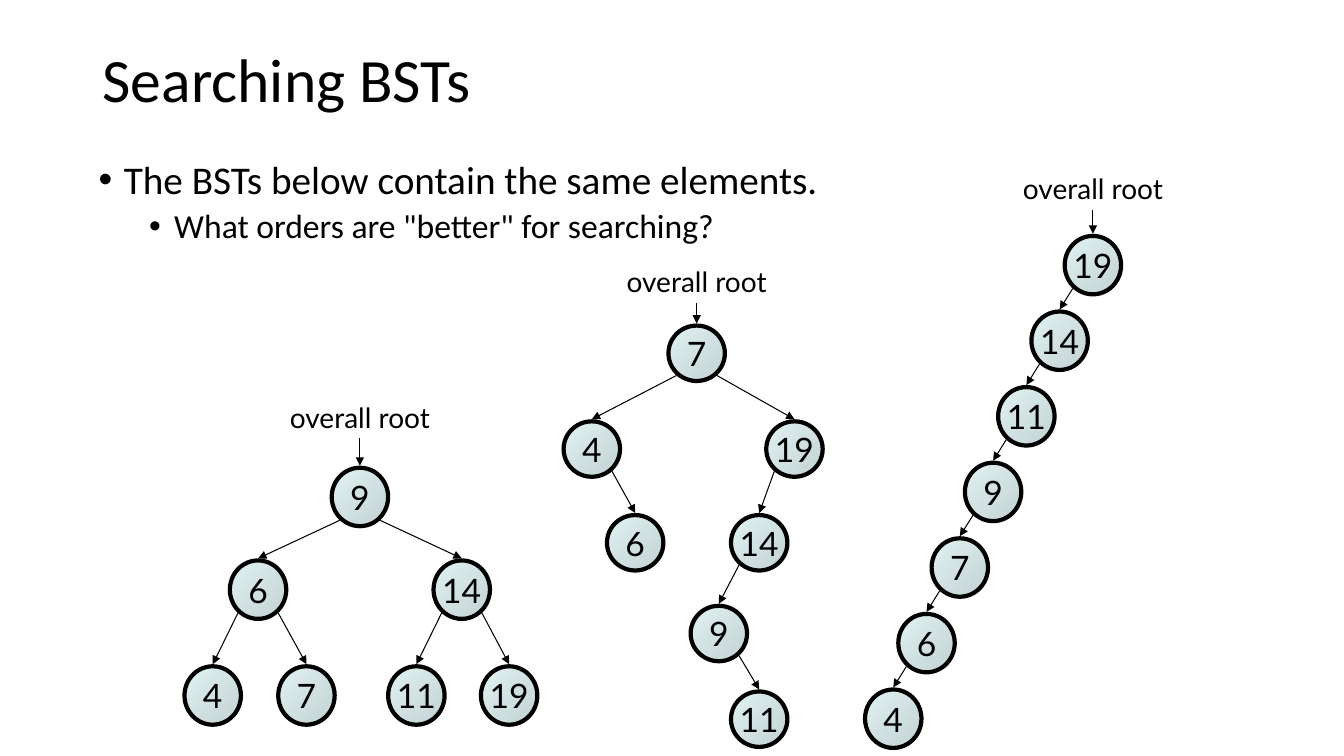
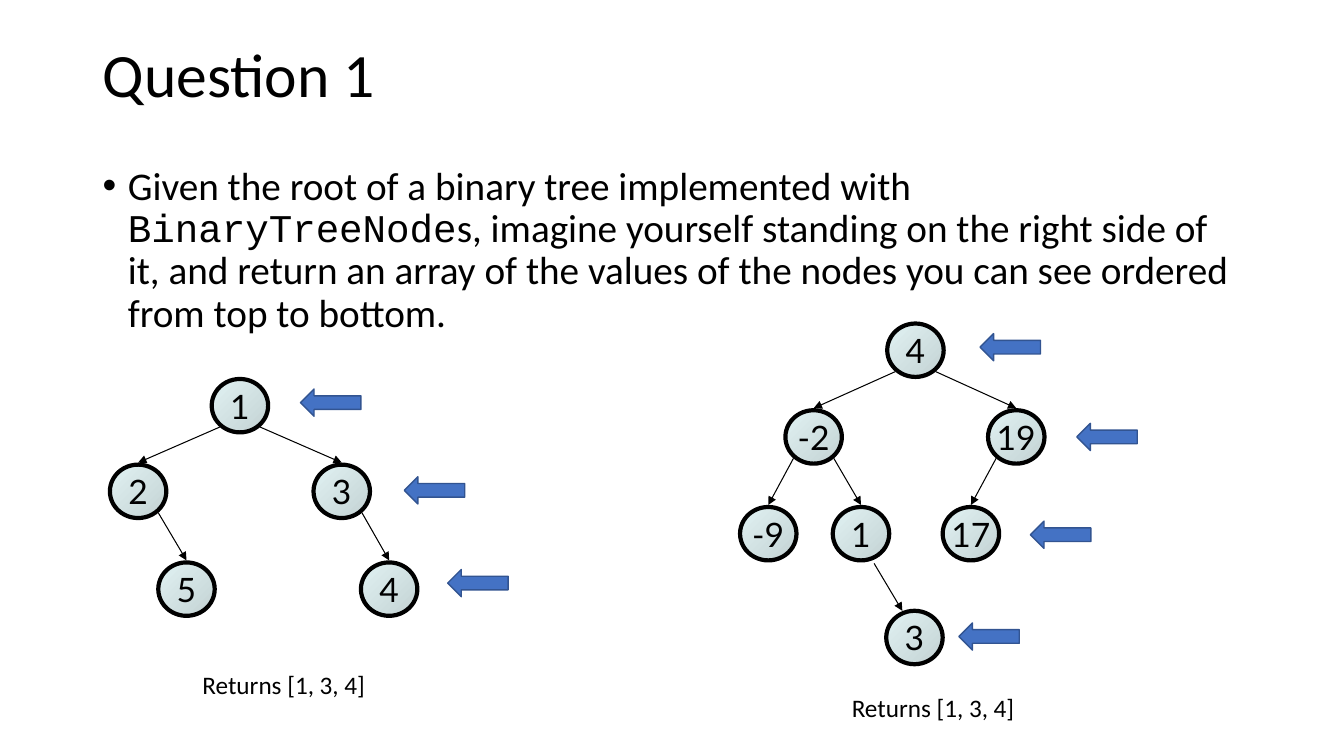
from dataclasses import dataclass
from typing import Iterator, NamedTuple, Optional

from lxml import etree
from pptx import Presentation
from pptx.dml.color import RGBColor
from pptx.enum.shapes import MSO_CONNECTOR, MSO_SHAPE
from pptx.enum.text import MSO_ANCHOR, PP_ALIGN
from pptx.oxml.ns import qn
from pptx.slide import Slide
from pptx.text.text import TextFrame
from pptx.util import Inches, Pt

ELLIPSE, LEFT_ARROW = MSO_SHAPE.OVAL, MSO_SHAPE.LEFT_ARROW
STRAIGHT = MSO_CONNECTOR.STRAIGHT
TOP, MIDDLE = MSO_ANCHOR.TOP, MSO_ANCHOR.MIDDLE
LEFT, CENTER = PP_ALIGN.LEFT, PP_ALIGN.CENTER


# Colours, fonts and type sizes
@dataclass(frozen=True)
class Theme:
    ink: RGBColor = RGBColor.from_string("000000")
    node_light: RGBColor = RGBColor.from_string("E1F2F3")
    node_dark: RGBColor = RGBColor.from_string("C3D2D3")
    marker: RGBColor = RGBColor.from_string("4472C4")
    marker_edge: RGBColor = RGBColor.from_string("325491")
    text_font: str = "Calibri"
    code_font: str = "Courier New"
    tree_font: str = "Lato"
    title: int = 44
    body: int = 28
    sub_body: int = 24
    node: int = 24
    root_label: int = 20
    caption: int = 18


THEME = Theme()


class Box(NamedTuple):
    left: float
    top: float
    width: float
    height: float


class Run(NamedTuple):
    text: str
    font: str = THEME.text_font


class Bullet(NamedTuple):
    runs: list[Run]
    level: int = 0


class Segment(NamedTuple):
    x1: float
    y1: float
    x2: float
    y2: float


@dataclass(frozen=True)
class Node:
    value: str
    center: float
    left: Optional["Node"] = None
    right: Optional["Node"] = None
    edge_in: Optional[Segment] = None  # replaces the computed edge


@dataclass(frozen=True)
class Tree:
    root: Node
    level_tops: list[float]
    node_height: float
    label_top: Optional[float] = None


NODE_WIDTH = 0.56
EDGE_OFFSET = 0.2
ARROW_GAP = 0.02
ROOT_LABEL_WIDTH, ROOT_LABEL_HEIGHT = 1.6, 0.43
MARKER_WIDTH, MARKER_HEIGHT = 0.6, 0.27
BODY_WIDTH, TITLE_HEIGHT, BODY_HEIGHT = 11.5, 1.45, 4.76


# Text
def add_run(paragraph, run: Run, size: int) -> None:
    piece = paragraph.add_run()
    piece.text = run.text
    piece.font.name = run.font
    piece.font.size = Pt(size)
    piece.font.color.rgb = THEME.ink


def add_text_frame(slide: Slide, box: Box, wrap: bool, anchor=TOP) -> TextFrame:
    frame = slide.shapes.add_textbox(*map(Inches, box)).text_frame
    frame.word_wrap = wrap
    frame.vertical_anchor = anchor
    return frame


def add_label(slide: Slide, box: Box, run: Run, size: int, align=LEFT) -> None:
    paragraph = add_text_frame(slide, box, wrap=False).paragraphs[0]
    paragraph.alignment = align
    add_run(paragraph, run, size)


def add_title(slide: Slide, text: str, top: float) -> None:
    box = Box(0.92, top, BODY_WIDTH, TITLE_HEIGHT)
    paragraph = add_text_frame(slide, box, True, MIDDLE).paragraphs[0]
    paragraph.line_spacing = 0.9
    add_run(paragraph, Run(text), THEME.title)


def add_bullets(slide: Slide, left: float, top: float, bullets: list[Bullet]) -> None:
    frame = add_text_frame(slide, Box(left, top, BODY_WIDTH, BODY_HEIGHT), True)
    for index, bullet in enumerate(bullets):
        paragraph = frame.add_paragraph() if index else frame.paragraphs[0]
        paragraph.level = bullet.level
        paragraph.line_spacing = 0.9
        paragraph.space_before = Pt(5 if bullet.level else 10)
        properties = paragraph._p.get_or_add_pPr()
        properties.set("marL", str(Inches(0.25 + 0.5 * bullet.level)))
        properties.set("indent", str(Inches(-0.25)))
        etree.SubElement(properties, qn("a:buFont"), typeface="Arial")
        etree.SubElement(properties, qn("a:buChar"), char="•")
        for run in bullet.runs:
            add_run(paragraph, run, THEME.sub_body if bullet.level else THEME.body)


# Tree parts
def add_arrow(slide: Slide, segment: Segment) -> None:
    arrow = slide.shapes.add_connector(STRAIGHT, *map(Inches, segment))
    arrow.line.color.rgb = THEME.ink
    arrow.line.width = Pt(0.75)
    etree.SubElement(arrow.get_or_add_ln(), qn("a:tailEnd"), type="triangle")
    etree.SubElement(arrow.element.spPr, qn("a:effectLst"))


def add_node(slide: Slide, node: Node, top: float, height: float) -> None:
    box = Box(node.center - NODE_WIDTH / 2, top, NODE_WIDTH, height)
    circle = slide.shapes.add_shape(ELLIPSE, *map(Inches, box))
    circle.shadow.inherit = False
    circle.fill.gradient()
    circle.fill.gradient_angle = 315
    for stop, color in zip(circle.fill.gradient_stops, (THEME.node_light, THEME.node_dark)):
        stop.color.rgb = color
    circle.line.color.rgb = THEME.ink
    circle.line.width = Pt(3)
    frame = circle.text_frame
    frame.word_wrap = False
    frame.vertical_anchor = MIDDLE
    frame.paragraphs[0].alignment = CENTER
    add_run(frame.paragraphs[0], Run(node.value, THEME.tree_font), THEME.node)


def walk(node: Node, level: int = 0) -> Iterator[tuple[Node, int]]:
    yield node, level
    for child in (node.left, node.right):
        if child:
            yield from walk(child, level + 1)


def add_tree(slide: Slide, tree: Tree) -> None:
    for node, level in walk(tree.root):
        top = tree.level_tops[level]
        add_node(slide, node, top, tree.node_height)
        for child, side in ((node.left, -1), (node.right, 1)):
            if child:
                add_arrow(slide, child.edge_in or Segment(
                    node.center + side * EDGE_OFFSET, top + 0.9 * tree.node_height,
                    child.center, tree.level_tops[level + 1] - ARROW_GAP))

    if tree.label_top is not None:
        center = tree.root.center
        box = Box(center - ROOT_LABEL_WIDTH / 2, tree.label_top,
                  ROOT_LABEL_WIDTH, ROOT_LABEL_HEIGHT)
        add_label(slide, box, Run("overall root", THEME.tree_font), THEME.root_label, CENTER)
        add_arrow(slide, Segment(center, tree.label_top + ROOT_LABEL_HEIGHT,
                                 center, tree.level_tops[0] - ARROW_GAP))


def add_view_marker(slide: Slide, left: float, top: float) -> None:
    box = Box(left, top, MARKER_WIDTH, MARKER_HEIGHT)
    marker = slide.shapes.add_shape(LEFT_ARROW, *map(Inches, box))
    marker.shadow.inherit = False
    marker.fill.solid()
    marker.fill.fore_color.rgb = THEME.marker
    marker.line.color.rgb = THEME.marker_edge
    marker.line.width = Pt(1)


# Search trees
def left_chain(values: list[str], center: float, step: float) -> Optional[Node]:
    if not values:
        return None
    return Node(values[0], center, left=left_chain(values[1:], center - step, step))


CHAIN_VALUES = ["19", "14", "11", "9", "7", "6", "4"]
SEARCH_TREES = [
    Tree(Node("7", 6.91,
              Node("4", 5.87, right=Node("6", 6.3)),
              Node("19", 7.88, Node("14", 7.53, Node("9", 7.13, right=Node("11", 7.53))))),
         [3.23, 4.18, 5.11, 6.01, 6.86], 0.55, 2.58),
    Tree(Node("9", 3.57,
              Node("6", 2.56, Node("4", 2.11), Node("7", 3.04)),
              Node("14", 4.58, Node("11", 4.13), Node("19", 5.05))),
         [4.64, 5.56, 6.61], 0.58, 3.92),
    Tree(left_chain(CHAIN_VALUES, 10.84, 0.33),
         [2.34 + 0.75 * level for level in range(len(CHAIN_VALUES))], 0.58, 1.65),
]

# Question trees
QUESTION_TREES = [
    Tree(Node("1", 2.38,
              Node("2", 1.37, right=Node("5", 1.85)),
              Node("3", 3.39, right=Node("4", 3.86))),
         [3.76, 4.61, 5.58], 0.53),
    Tree(Node("4", 9.08,
              Node("-2", 8.07, Node("-9", 7.62),
                   Node("1", 8.54, right=Node(
                       "3", 9.07, edge_in=Segment(8.67, 5.59, 8.95, 6.06)))),
              Node("19", 10.08, Node("17", 9.63))),
         [3.21, 4.07, 5.03, 6.06], 0.53),
]
VIEW_MARKERS = [(2.98, 3.86), (4.01, 4.73), (4.44, 5.65),
                (9.72, 3.31), (10.68, 4.2), (10.22, 5.17), (9.51, 6.18)]
CAPTION_CORNERS = [(1.91, 6.59), (8.35, 6.82)]


def build_searching(slide: Slide) -> None:
    add_title(slide, "Searching BSTs", 0.09)
    add_bullets(slide, 0.88, 1.54, [
        Bullet([Run("The BSTs below contain the same elements.")]),
        Bullet([Run('What orders are "better" for searching?')], level=1),
    ])
    for tree in SEARCH_TREES:
        add_tree(slide, tree)


def build_question(slide: Slide) -> None:
    add_title(slide, "Question 1", 0.04)
    add_bullets(slide, 0.92, 1.6, [Bullet([
        Run("Given the root of a binary tree implemented with "),
        Run("BinaryTreeNode", THEME.code_font),
        Run("s, imagine yourself standing on the right side of it, and return an array "
            "of the values of the nodes you can see ordered from top to bottom."),
    ])])
    for tree in QUESTION_TREES:
        add_tree(slide, tree)
    for left, top in VIEW_MARKERS:
        add_view_marker(slide, left, top)
    for left, top in CAPTION_CORNERS:
        add_label(slide, Box(left, top, 1.83, 0.4), Run("Returns [1, 3, 4]"), THEME.caption)


def main() -> None:
    deck = Presentation()
    deck.slide_width, deck.slide_height = Inches(13.33), Inches(7.5)
    blank = deck.slide_layouts[6]
    for build in (build_searching, build_question):
        build(deck.slides.add_slide(blank))
    deck.save("out.pptx")


if __name__ == "__main__":
    main()
